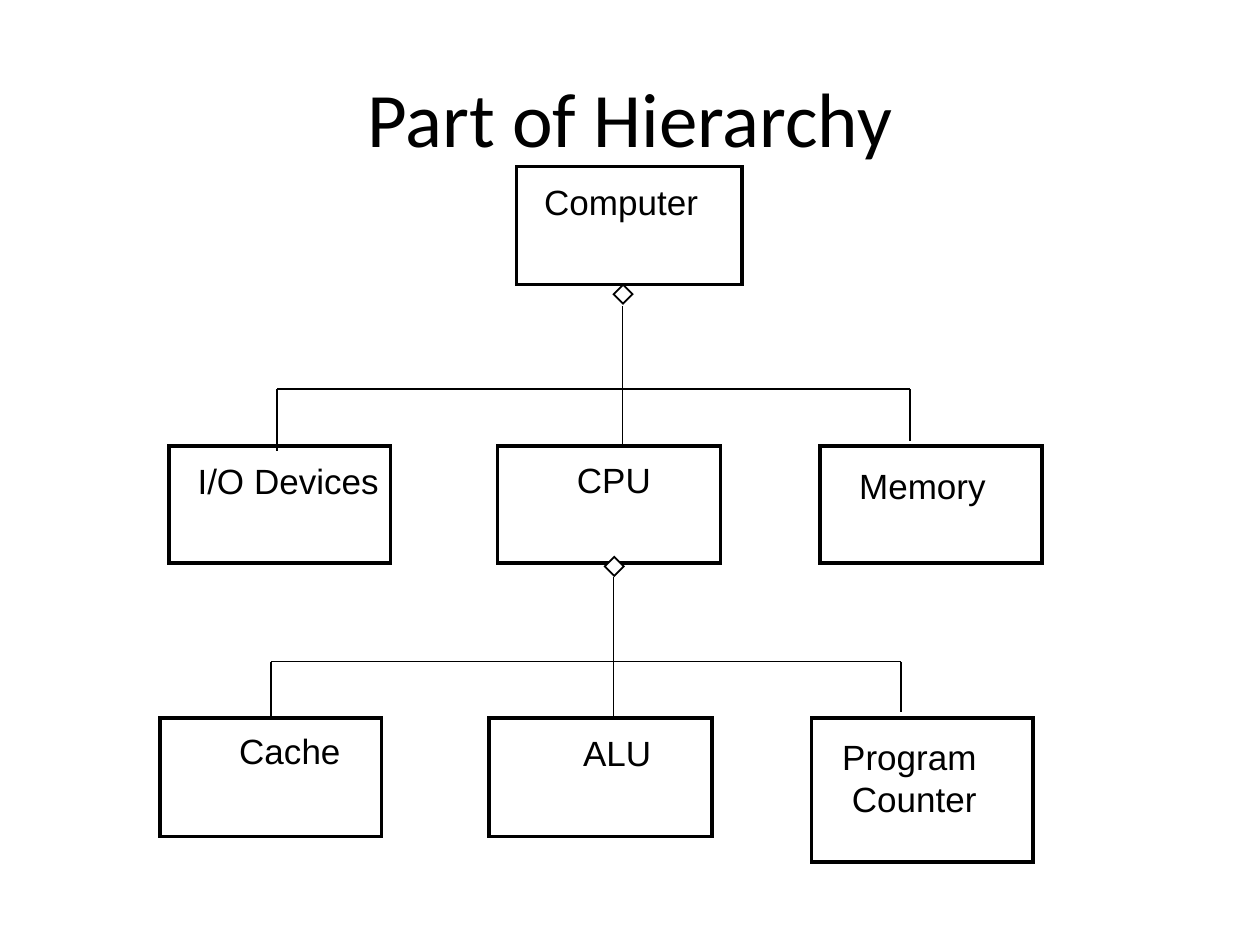
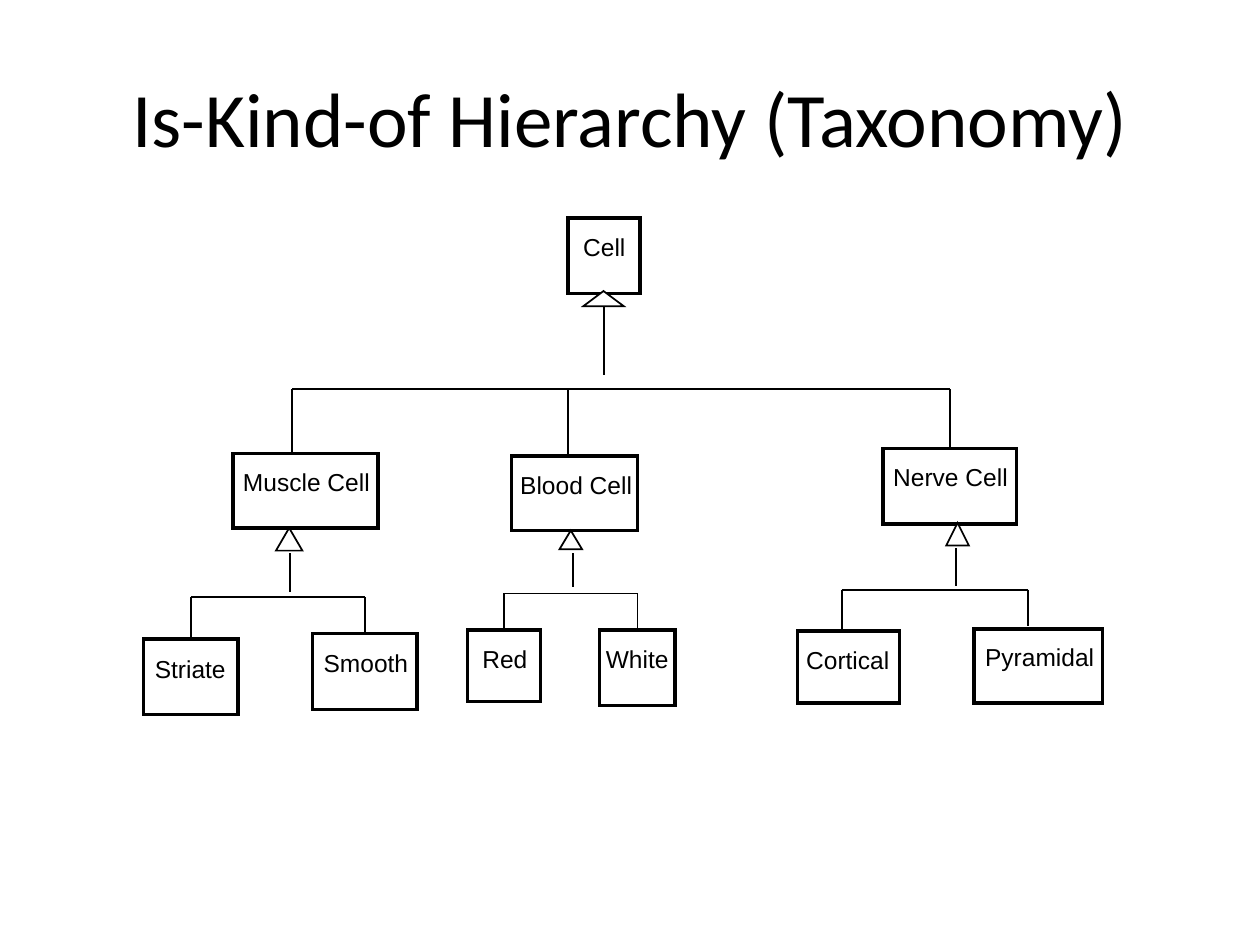
"""Build two slides of class hierarchies: part-of and is-kind-of."""
from dataclasses import dataclass

from lxml import etree
from pptx import Presentation
from pptx import util as u
from pptx.dml import color
from pptx.enum import shapes, text
from pptx.oxml import ns

COLORS = {"ink": "000000", "paper": "FFFFFF"}
TITLE_FONT, LABEL_FONT = "Calibri", "Arial"
BOX_LINE, THIN_LINE = 2, 1
JOIN_REACH = 0.04
TOP, BOTTOM = 0, 2
DIAMOND = shapes.MSO_SHAPE.DIAMOND
TRIANGLE = shapes.MSO_SHAPE.ISOSCELES_TRIANGLE


@dataclass(frozen=True)
class Box:
    """A class rectangle and the place of its label."""
    label: str
    left: float
    top: float
    width: float
    height: float
    label_left: float
    label_top: float
    label_width: float

    @property
    def center(self) -> float:
        return self.left + self.width / 2

    def side(self, site: int) -> float:
        return self.top if site == TOP else self.top + self.height


@dataclass(frozen=True)
class Branch:
    """A marker under a parent, its stem, and the (x, bottom) drops from a bar."""
    marker: tuple[float, float, float, float]
    stem: tuple[float, float, float]
    bar_top: float
    drops: tuple[tuple[float, float], ...]


@dataclass(frozen=True)
class Hierarchy:
    """One slide: a title, its boxes and the branches between them."""
    title: str
    marker: shapes.MSO_SHAPE
    label_size: int
    line_height: float
    boxes: tuple[Box, ...]
    branches: tuple[Branch, ...]


HIERARCHIES = (
    Hierarchy(
        "Part of Hierarchy", DIAMOND, 20, 0.43,
        (
            Box("Computer", 4.1, 1.32, 1.79, 0.94, 4.22, 1.38, 1.42),
            Box("I/O Devices", 1.34, 3.54, 1.76, 0.93, 1.47, 3.6, 1.64),
            Box("CPU", 3.95, 3.54, 1.77, 0.93, 4.48, 3.59, 0.79),
            Box("Memory", 6.51, 3.54, 1.76, 0.93, 6.72, 3.64, 1.22),
            Box("Cache", 1.27, 5.7, 1.76, 0.94, 1.8, 5.74, 1.02),
            Box("ALU", 3.88, 5.7, 1.77, 0.94, 4.53, 5.76, 0.74),
            Box("Program\nCounter", 6.44, 5.7, 1.76, 1.14, 6.58, 5.79, 1.27),
        ),
        (
            Branch((4.87, 2.26, 0.15, 0.15), (4.94, 2.43, 3.54), 3.09,
                   ((2.2, 3.58), (7.22, 3.5))),
            Branch((4.8, 4.42, 0.15, 0.15), (4.87, 4.58, 5.7), 5.25,
                   ((2.13, 5.73), (7.15, 5.65))),
        ),
    ),
    Hierarchy(
        "Is-Kind-of Hierarchy (Taxonomy)", TRIANGLE, 14, 0.33,
        (
            Box("Cell", 4.51, 1.73, 0.57, 0.6, 4.53, 1.79, 0.55),
            Box("Muscle Cell", 1.85, 3.6, 1.15, 0.59, 1.83, 3.66, 1.21),
            Box("Blood Cell", 4.06, 3.62, 1, 0.59, 4.03, 3.68, 1.09),
            Box("Nerve Cell", 7.01, 3.56, 1.06, 0.6, 6.99, 3.62, 1.11),
            Box("Striate", 1.14, 5.07, 0.75, 0.6, 1.13, 5.14, 0.78),
            Box("Smooth", 2.48, 5.03, 0.83, 0.6, 2.47, 5.09, 0.87),
            Box("Red", 3.71, 5, 0.58, 0.57, 3.73, 5.06, 0.56),
            Box("White", 4.76, 5, 0.6, 0.6, 4.71, 5.06, 0.7),
            Box("Cortical", 6.33, 5.01, 0.81, 0.57, 6.3, 5.07, 0.86),
            Box("Pyramidal", 7.73, 4.99, 1.02, 0.59, 7.72, 5.05, 1.07),
        ),
        (
            Branch((4.63, 2.31, 0.32, 0.12), (4.8, 2.34, 2.98), 3.09,
                   ((2.32, 3.6), (4.51, 3.61), (7.53, 3.53))),
            Branch((2.19, 4.19, 0.21, 0.18), (2.3, 4.39, 4.7), 4.74,
                   ((1.5, 5.09), (2.93, 5.02))),
            Branch((4.44, 4.21, 0.18, 0.15), (4.55, 4.39, 4.66), 4.71,
                   ((3.99, 4.99), (5.06, 4.99))),
            Branch((7.51, 4.15, 0.18, 0.18), (7.59, 4.35, 4.65), 4.68,
                   ((6.68, 4.99), (8.16, 4.97))),
        ),
    ),
)


def rgb(name: str) -> color.RGBColor:
    return color.RGBColor.from_string(COLORS[name])


def add_text(slide, content: str, left: float, top: float, width: float, height: float, *,
             size: int, font: str = LABEL_FONT, align=text.PP_ALIGN.LEFT,
             anchor=text.MSO_ANCHOR.TOP, wrap: bool = False):
    """Add a text box with one paragraph for each line of content."""
    shape = slide.shapes.add_textbox(*map(u.Inches, (left, top, width, height)))
    frame = shape.text_frame
    frame.text = content
    frame.word_wrap = wrap
    frame.vertical_anchor = anchor
    if not wrap:
        frame.auto_size = text.MSO_AUTO_SIZE.SHAPE_TO_FIT_TEXT
    for paragraph in frame.paragraphs:
        paragraph.alignment = align
        paragraph.font.size = u.Pt(size)
        paragraph.font.name = font
        paragraph.font.color.rgb = rgb("ink")


def add_outline(slide, kind, place: tuple, weight: float, filled: bool = False):
    """Add a preset shape with a sharp-cornered outline."""
    shape = slide.shapes.add_shape(kind, *map(u.Inches, place))
    shape.shadow.inherit = False
    if filled:
        shape.fill.solid()
        shape.fill.fore_color.rgb = rgb("paper")
    else:
        shape.fill.background()
    shape.line.color.rgb = rgb("ink")
    shape.line.width = u.Pt(weight)
    outline = shape._element.spPr.find(ns.qn("a:ln"))
    etree.SubElement(outline, ns.qn("a:miter")).set("lim", "800000")
    return shape


def add_line(slide, start: tuple[float, float], end: tuple[float, float]):
    connector = slide.shapes.add_connector(
        shapes.MSO_CONNECTOR.STRAIGHT, *map(u.Inches, (*start, *end)))
    connector.line.color.rgb = rgb("ink")
    connector.line.width = u.Pt(THIN_LINE)
    etree.SubElement(connector._element.spPr, ns.qn("a:effectLst"))
    return connector


def find_box(boxes: tuple[Box, ...], x: float, y: float, site: int) -> Box | None:
    """Return the box whose side middle lies within reach of a point."""
    return next((box for box in boxes if abs(box.center - x) <= JOIN_REACH
                 and abs(box.side(site) - y) <= JOIN_REACH), None)


def draw_branch(slide, hierarchy: Hierarchy, branch: Branch, rectangles: dict) -> None:
    x, top, bottom = branch.stem
    parent = find_box(hierarchy.boxes, x, top, BOTTOM)
    x = parent.center if parent else x
    stem = add_line(slide, (x, top), (x, bottom))
    if parent:
        stem.begin_connect(rectangles[parent], BOTTOM)
    add_outline(slide, hierarchy.marker, branch.marker, THIN_LINE, filled=True)

    drop_centers = []
    for x, bottom in branch.drops:
        child = find_box(hierarchy.boxes, x, bottom, TOP)
        x = child.center if child else x
        drop = add_line(slide, (x, branch.bar_top), (x, bottom))
        if child:
            drop.end_connect(rectangles[child], TOP)
        drop_centers.append(x)
    add_line(slide, (drop_centers[0], branch.bar_top), (drop_centers[-1], branch.bar_top))


def draw_hierarchy(slide, hierarchy: Hierarchy) -> None:
    add_text(slide, hierarchy.title, 0.5, 0.3, 9, 1.25, size=44, font=TITLE_FONT,
             align=text.PP_ALIGN.CENTER, anchor=text.MSO_ANCHOR.MIDDLE, wrap=True)
    rectangles = {}
    for box in hierarchy.boxes:
        rectangles[box] = add_outline(slide, shapes.MSO_SHAPE.RECTANGLE,
                                      (box.left, box.top, box.width, box.height), BOX_LINE)
        lines = box.label.count("\n") + 1
        add_text(slide, box.label, box.label_left, box.label_top, box.label_width,
                 hierarchy.line_height * lines, size=hierarchy.label_size,
                 align=text.PP_ALIGN.RIGHT if lines > 1 else text.PP_ALIGN.LEFT)
    for branch in hierarchy.branches:
        draw_branch(slide, hierarchy, branch, rectangles)


def main() -> None:
    presentation = Presentation()
    presentation.slide_width = u.Inches(10)
    presentation.slide_height = u.Inches(7.5)
    for hierarchy in HIERARCHIES:
        draw_hierarchy(presentation.slides.add_slide(presentation.slide_layouts[6]), hierarchy)
    presentation.save("out.pptx")


if __name__ == "__main__":
    main()
